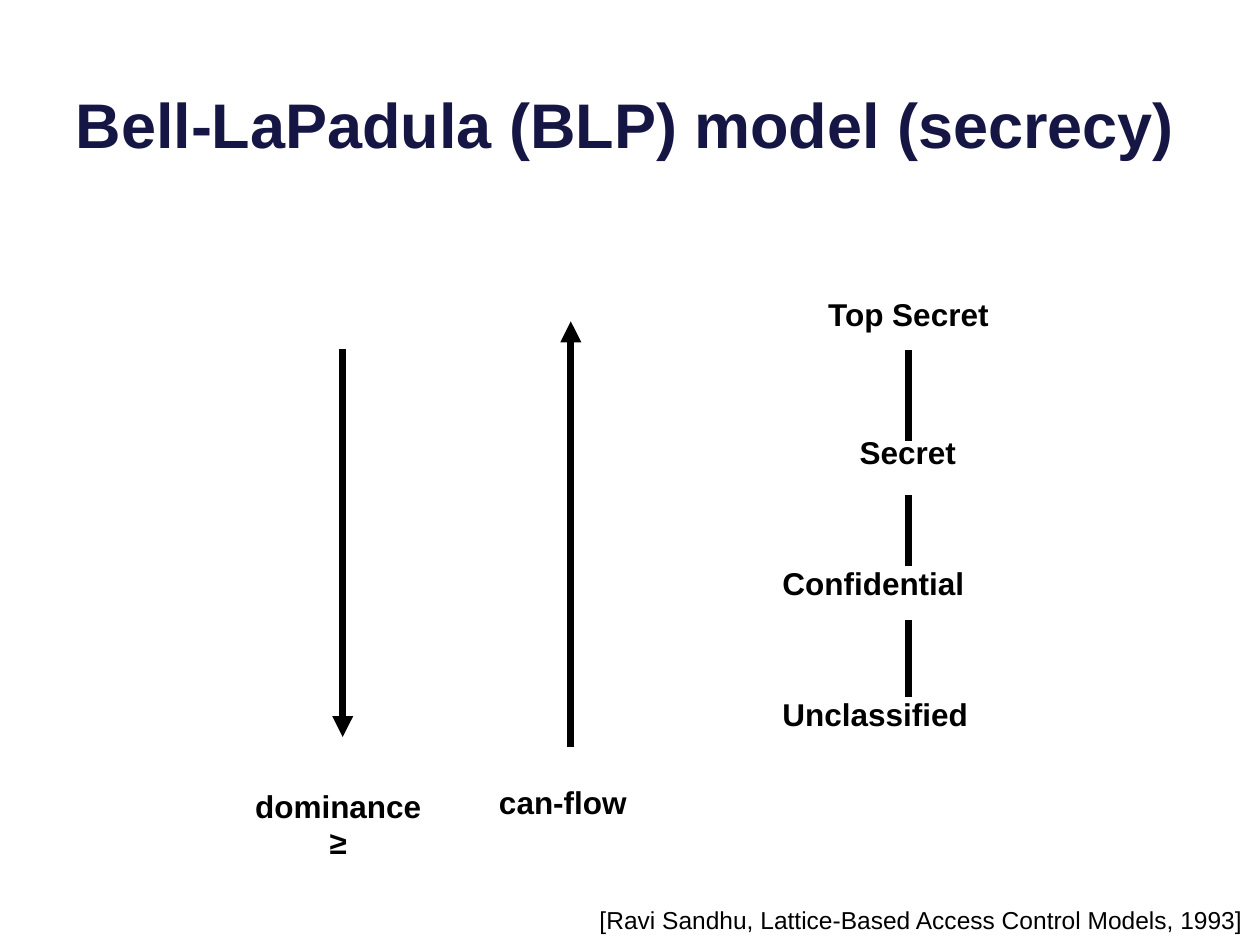
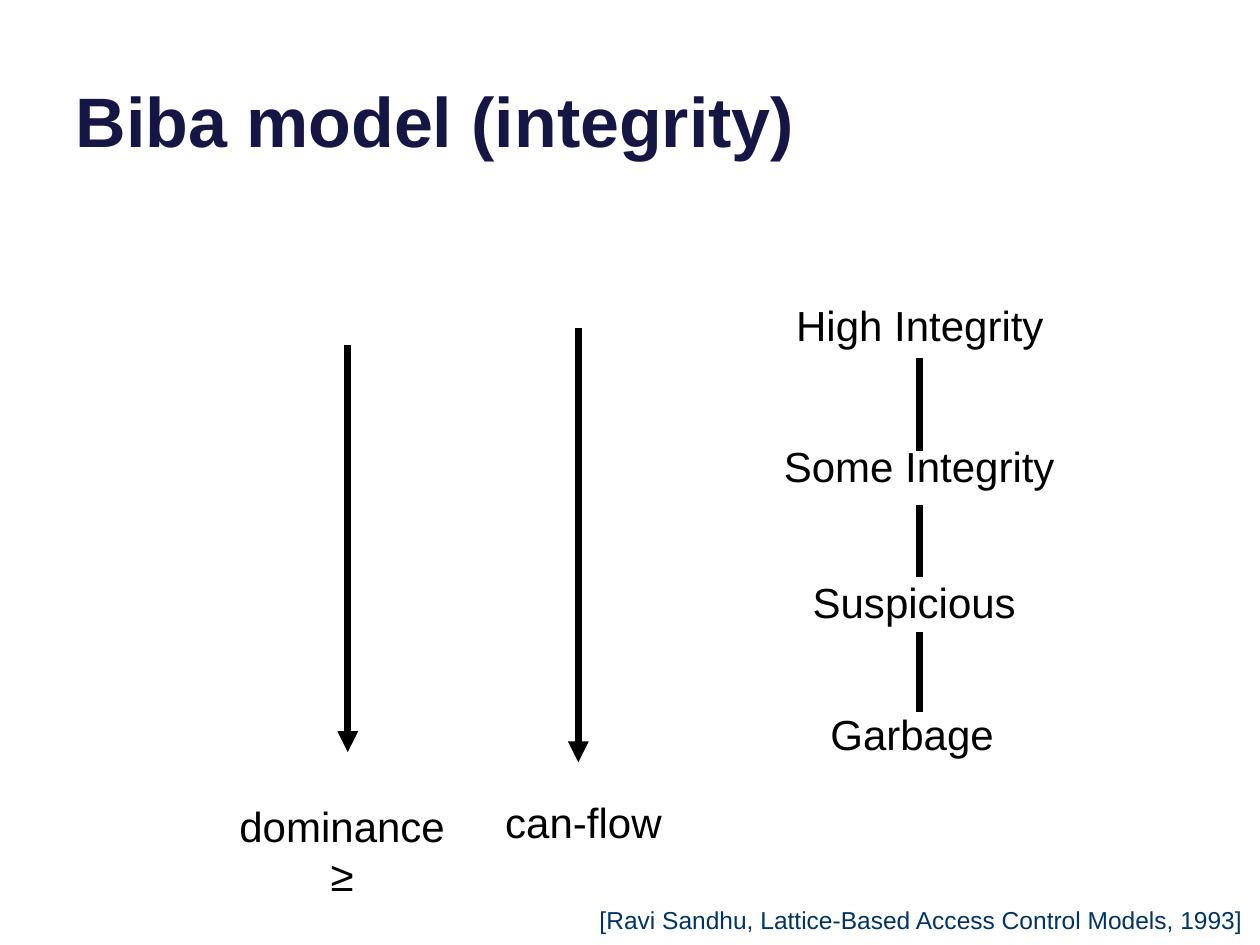
from pptx import Presentation
from pptx.dml.color import RGBColor
from pptx.enum.shapes import MSO_CONNECTOR
from pptx.enum.text import MSO_ANCHOR, MSO_AUTO_SIZE, PP_ALIGN
from pptx.oxml.ns import qn
from pptx.util import Inches, Pt
from lxml import etree

COLORS = {"title": "161645", "ink": "000000", "citation": "003367"}
FONT = "Arial"
CITATION = "[Ravi Sandhu, Lattice-Based Access Control Models, 1993]"

# Levels: text, left, top, width. Links and arrows: x, start y, end y.
MODELS = [
    {
        "title": "Bell-LaPadula (BLP) model (secrecy)", "title_size": 36,
        "label_size": 18, "bold": True, "label_height": 0.33,
        "levels": [("Top Secret", 6.49, 2.35, 1.44), ("Secret", 6.75, 3.45, 0.91),
                   ("Confidential", 6.14, 4.49, 1.6), ("Unclassified", 6.14, 5.53, 1.63)],
        "links": [(7.21, 2.78, 3.5), (7.21, 3.93, 4.49), (7.21, 4.92, 5.53)],
        "arrows": [(2.72, 2.77, 5.85), (4.53, 5.93, 2.55)],
        "dominance": (1.95, 6.23, 1.47, 0.64), "can_flow": (3.89, 6.23, 1.18),
        "citation_color": "ink",
    },
    {
        "title": "Biba model (integrity)", "title_size": 40,
        "label_size": 24, "bold": False, "label_height": 0.42,
        "levels": [("High Integrity", 6.24, 2.4, 2.12), ("Some Integrity", 6.14, 3.52, 2.31),
                   ("Suspicious", 6.38, 4.6, 1.77), ("Garbage", 6.52, 5.65, 1.45)],
        "links": [(7.3, 2.84, 3.58), (7.3, 4.01, 4.58), (7.3, 5.02, 5.65)],
        "arrows": [(2.76, 2.74, 5.97), (4.59, 2.6, 6.05)],
        "dominance": (1.82, 6.35, 1.79, 0.84), "can_flow": (3.94, 6.35, 1.4),
        "citation_color": "citation",
    },
]


def add_label(slide, lines, box, size, bold=False, color="ink", align=PP_ALIGN.LEFT,
              spacing=0.87, inset=(0.07, 0.03)):
    frame = slide.shapes.add_textbox(*map(Inches, box)).text_frame
    frame.word_wrap = False
    frame.auto_size = MSO_AUTO_SIZE.SHAPE_TO_FIT_TEXT
    frame.margin_left = frame.margin_right = Inches(inset[0])
    frame.margin_top = frame.margin_bottom = Inches(inset[1])
    for index, line in enumerate(lines):
        paragraph = frame.add_paragraph() if index else frame.paragraphs[0]
        paragraph.alignment = align
        paragraph.line_spacing = spacing
        run = paragraph.add_run()
        run.text = line
        run.font.name = FONT
        run.font.size = Pt(size)
        run.font.bold = bold
        run.font.color.rgb = RGBColor.from_string(COLORS[color])


def add_vertical(slide, x, start, end, arrow=False):
    connector = slide.shapes.add_connector(
        MSO_CONNECTOR.STRAIGHT, Inches(x), Inches(start), Inches(x), Inches(end))
    connector.line.width = Pt(4)
    connector.line.color.rgb = RGBColor.from_string(COLORS["ink"])
    if arrow:
        etree.SubElement(connector.line._get_or_add_ln(), qn("a:tailEnd"), type="triangle")
    etree.SubElement(connector._element.spPr, qn("a:effectLst"))


prs = Presentation()
prs.slide_width, prs.slide_height = Inches(10), Inches(7.5)

for model in MODELS:
    slide = prs.slides.add_slide(prs.slide_layouts[5])
    size, bold, height = model["label_size"], model["bold"], model["label_height"]

    # Title
    title = slide.shapes.title
    title.left, title.top = Inches(0.5), Inches(-0.37)
    title.width, title.height = Inches(9), Inches(1.7)
    title.text_frame.vertical_anchor = MSO_ANCHOR.BOTTOM
    title.text_frame.auto_size = MSO_AUTO_SIZE.NONE
    heading = title.text_frame.paragraphs[0]
    heading.alignment = PP_ALIGN.LEFT
    run = heading.add_run()
    run.text = model["title"]
    run.font.name = FONT
    run.font.size = Pt(model["title_size"])
    run.font.bold = True
    run.font.color.rgb = RGBColor.from_string(COLORS["title"])

    # Lattice of levels; the upper two are centred
    for rank, (level, left, top, width) in enumerate(model["levels"]):
        add_label(slide, [level], (left, top, width, height), size, bold,
                  align=PP_ALIGN.CENTER if rank < 2 else PP_ALIGN.LEFT)
    for link in model["links"]:
        add_vertical(slide, *link)

    # Directions of dominance and flow
    for arrow in model["arrows"]:
        add_vertical(slide, *arrow, arrow=True)
    add_label(slide, ["can-flow"], (*model["can_flow"], height), size, bold)
    add_label(slide, ["dominance", "≥"], model["dominance"], size, bold,
              align=PP_ALIGN.CENTER, spacing=0.97)

    # Citation
    add_label(slide, [CITATION], (4.66, 7.13, 5.34, 0.34), 14,
              color=model["citation_color"], spacing=1.0, inset=(0.1, 0.05))

prs.save("out.pptx")
